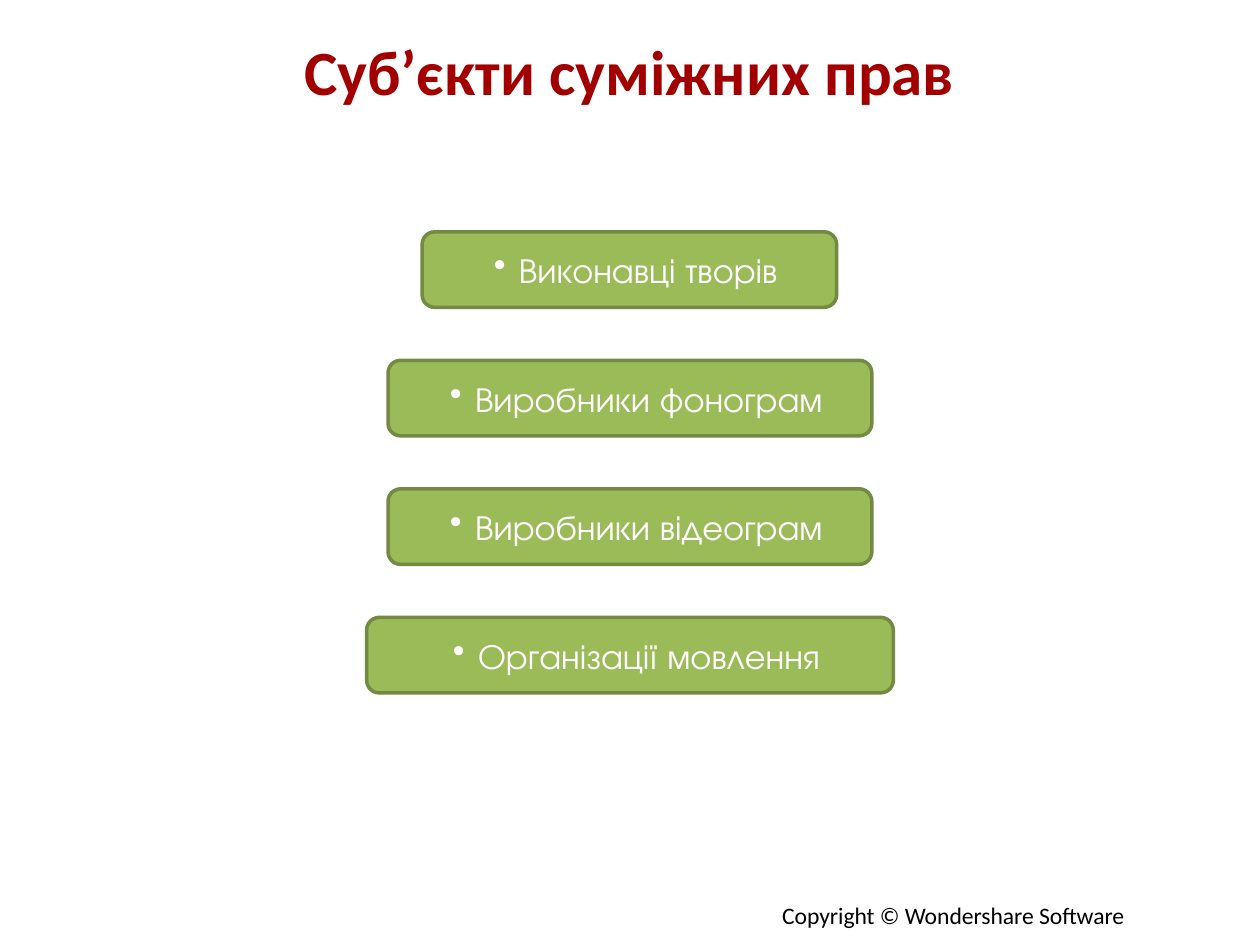
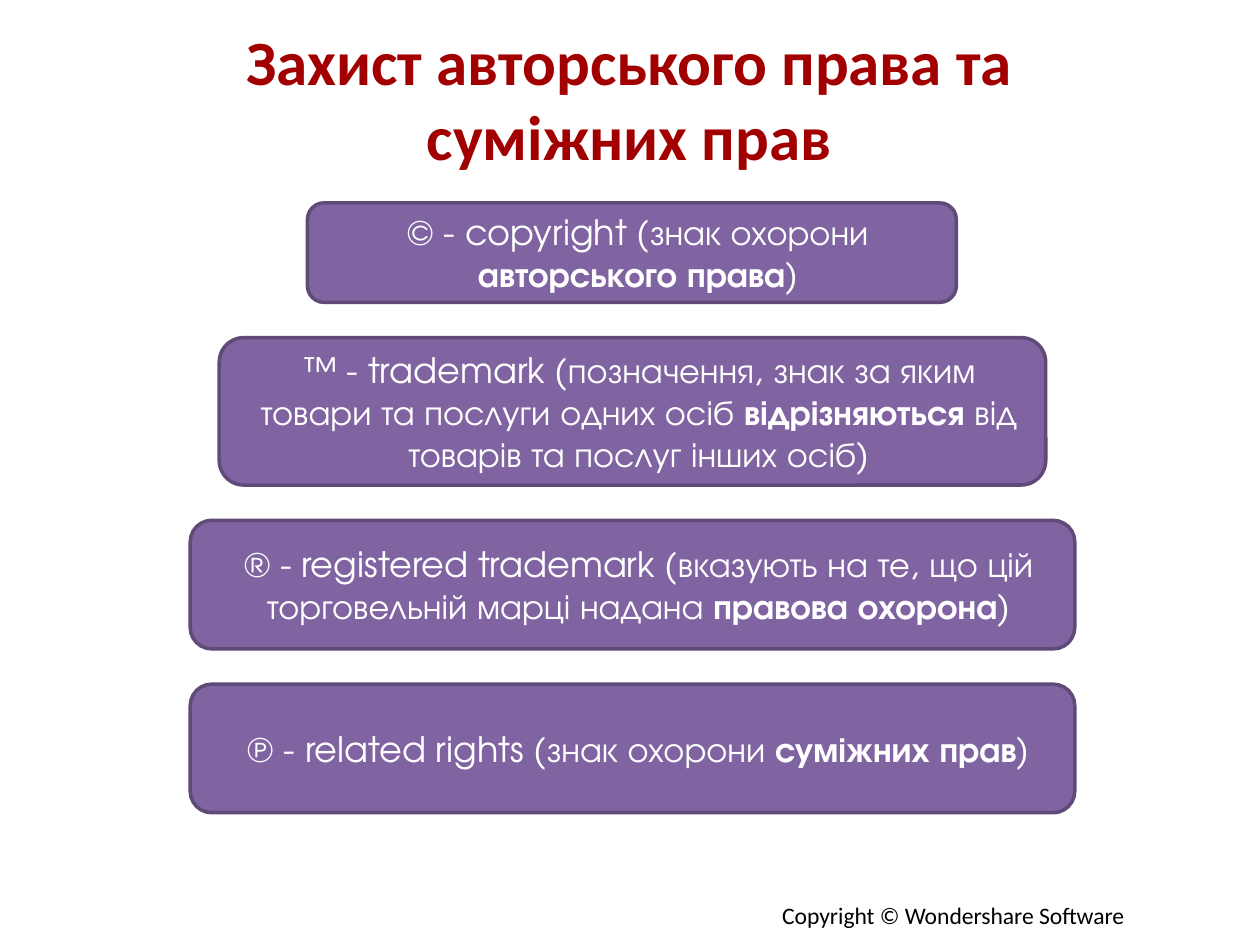
"""Build two slides on related rights and the protection of copyright."""
from copy import deepcopy
from dataclasses import dataclass
from typing import Any

from lxml.etree import SubElement
from pptx import Presentation
from pptx.dml.color import RGBColor as Rgb
from pptx.enum.shapes import MSO_SHAPE as Shape
from pptx.enum.text import MSO_ANCHOR as Anchor, MSO_AUTO_SIZE as AutoSize, PP_ALIGN as Align
from pptx.oxml.ns import qn
from pptx.slide import Slide
from pptx.text.text import Font, TextFrame
from pptx.util import Pt

PX = 9144
FOOTER = "Copyright © Wondershare Software"


@dataclass(frozen=True)
class Theme:
    """Colours, fonts and type sizes of both slides."""
    title_stops: tuple = ((0, "C00000"), (0.43, "A20000"), (1, "860000"))
    green: str = "9BBB59"
    green_edge: str = "738A42"
    purple: str = "8064A2"
    purple_edge: str = "5F4A78"
    white: str = "FFFFFF"
    black: str = "000000"
    heading_font: str = "Calibri"
    card_font: str = "TeX Gyre Adventor"
    title_size: float = 36
    card_size: float = 20
    footer_size: float = 13.5
    edge_width: float = 2


THEME = Theme()


@dataclass(frozen=True)
class Card:
    """A rounded box; its words between asterisks are bold."""
    text: str
    width: int
    height: int


@dataclass(frozen=True)
class Stack:
    """A centred column of cards with equal gaps."""
    cards: tuple[Card, ...]
    top: int
    centre: int
    gap: int
    fill: str
    edge: str
    margin: int
    hanging: int = 0
    bullet: str = ""


@dataclass(frozen=True)
class Page:
    """A title and the stack of cards under it."""
    title: str
    title_top: int
    title_height: int
    stack: Stack


PAGES = (
    Page("Суб’єкти суміжних прав", 22, 68, Stack(
        (Card("Виконавці творів", 329, 60),
         Card("Виробники фонограм", 384, 60),
         Card("Виробники відеограм", 384, 60),
         Card("Організації мовлення", 418, 60)),
        184, 500, 42, THEME.green, THEME.green_edge, 30, -20, "•")),
    Page("Захист авторського права та суміжних прав", 19, 117, Stack(
        (Card("© - copyright (знак охорони *авторського права*)", 515, 79),
         Card("™ - trademark (позначення, знак за яким товари та послуги одних осіб "
              "*відрізняються *від товарів та послуг інших осіб)", 656, 117),
         Card("® - registered trademark (вказують на те, що цій торговельній марці "
              "надана *правова охорона*)", 702, 102),
         Card("℗ - related rights (знак охорони *суміжних прав*)", 702, 102)),
        161, 502, 28, THEME.purple, THEME.purple_edge, 10)),
)


def apply(target: Any, values: dict[str, Any]) -> None:
    """Set every listed attribute on the target."""
    for name, value in values.items():
        setattr(target, name, value)


def box(left: int, top: int, width: int, height: int) -> tuple[int, ...]:
    """Turn px lengths into EMU."""
    return tuple(length * PX for length in (left, top, width, height))


def write(frame: TextFrame, text: str, font: str, size: float, colour: str) -> Font:
    """Write text with bold parts between asterisks and return the last font."""
    for index, part in enumerate(text.split("*")):
        run = frame.paragraphs[0].add_run()
        run.text = part
        apply(run.font, {"name": font, "size": Pt(size), "bold": index % 2 == 1})
        run.font.color.rgb = Rgb.from_string(colour)
    return run.font


def draw_footer(slide: Slide) -> None:
    """Draw the copyright line at the foot of the slide."""
    frame = slide.shapes.add_textbox(*box(611, 710, 297, 33)).text_frame
    apply(frame, {"word_wrap": False, "auto_size": AutoSize.SHAPE_TO_FIT_TEXT})
    write(frame, FOOTER, THEME.heading_font, THEME.footer_size, THEME.black)


def draw_title(slide: Slide, page: Page) -> None:
    """Draw the title in a red gradient."""
    frame = slide.shapes.add_textbox(*box(164, page.title_top, 671, page.title_height)).text_frame
    apply(frame, {"word_wrap": True, "vertical_anchor": Anchor.MIDDLE})
    title = frame.paragraphs[0]
    title.alignment = Align.CENTER
    font = write(frame, page.title, THEME.heading_font, THEME.title_size, THEME.title_stops[1][1])
    font.bold = True
    font.fill.gradient()
    font.fill.gradient_angle = 270
    stop_list = next(title.runs[0]._r.iter(qn("a:gsLst")))
    stop_list.append(deepcopy(stop_list[0]))
    for stop, (position, colour) in zip(font.fill.gradient_stops, THEME.title_stops):
        stop.position = position
        stop.color.rgb = Rgb.from_string(colour)


def draw_card(slide: Slide, card: Card, top: int, stack: Stack) -> None:
    """Draw one card of the stack."""
    left = (2 * stack.centre - card.width) // 2
    panel = slide.shapes.add_shape(Shape.ROUNDED_RECTANGLE, *box(left, top, card.width, card.height))
    panel.shadow.inherit = False
    panel.fill.solid()
    panel.fill.fore_color.rgb = Rgb.from_string(stack.fill)
    panel.line.color.rgb = Rgb.from_string(stack.edge)
    panel.line.width = Pt(THEME.edge_width)
    frame = panel.text_frame
    apply(frame, {"word_wrap": True, "vertical_anchor": Anchor.MIDDLE})
    paragraph = frame.paragraphs[0]
    paragraph.alignment = Align.CENTER
    properties = paragraph._p.get_or_add_pPr()
    properties.set("marL", str(stack.margin * PX))
    properties.set("indent", str(stack.hanging * PX))
    if stack.bullet:
        SubElement(properties, qn("a:buChar"), char=stack.bullet)
    write(frame, card.text, THEME.card_font, THEME.card_size, THEME.white)


def draw_stack(slide: Slide, stack: Stack) -> None:
    """Draw the cards from top to bottom."""
    top = stack.top
    for card in stack.cards:
        draw_card(slide, card, top, stack)
        top += card.height + stack.gap


def main() -> None:
    """Build and save the presentation."""
    deck = Presentation()
    apply(deck, {"slide_width": 1000 * PX, "slide_height": 750 * PX})
    for page in PAGES:
        slide = deck.slides.add_slide(deck.slide_layouts[6])
        draw_footer(slide)
        draw_title(slide, page)
        draw_stack(slide, page.stack)
    deck.save("out.pptx")


if __name__ == "__main__":
    main()
